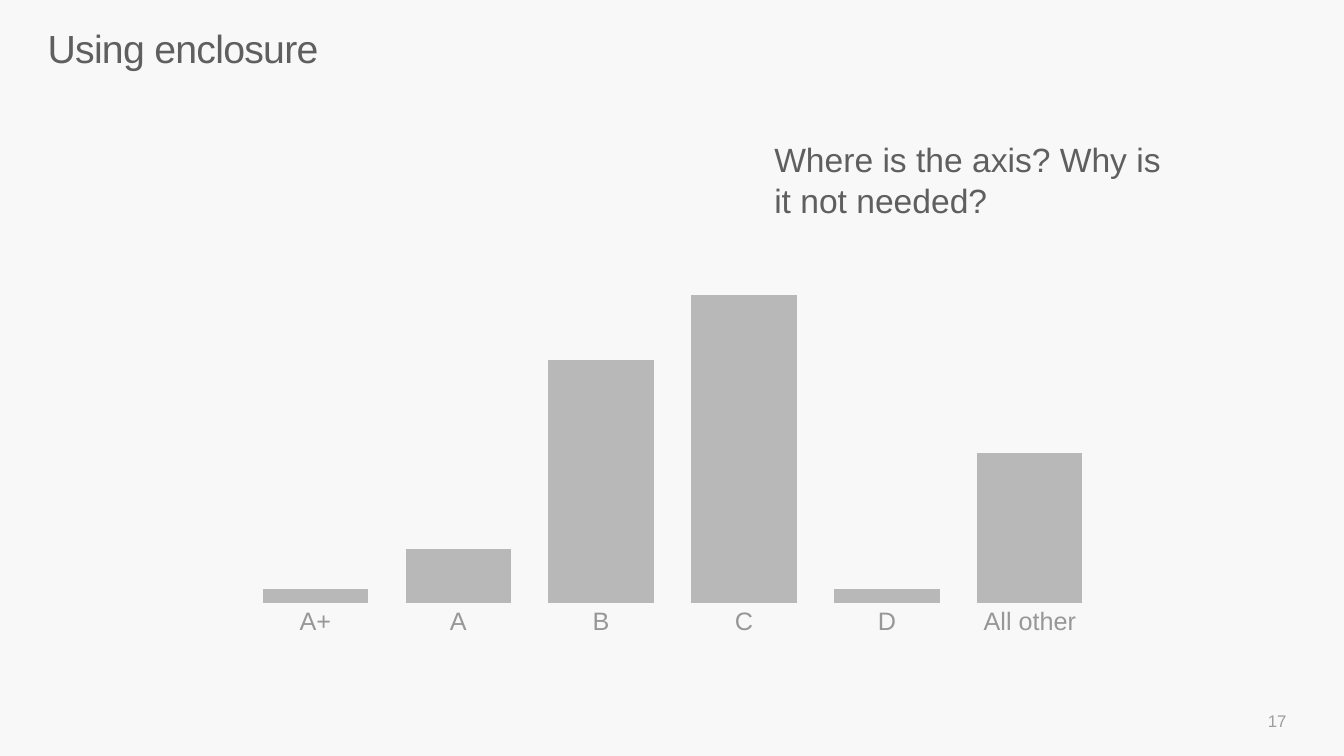
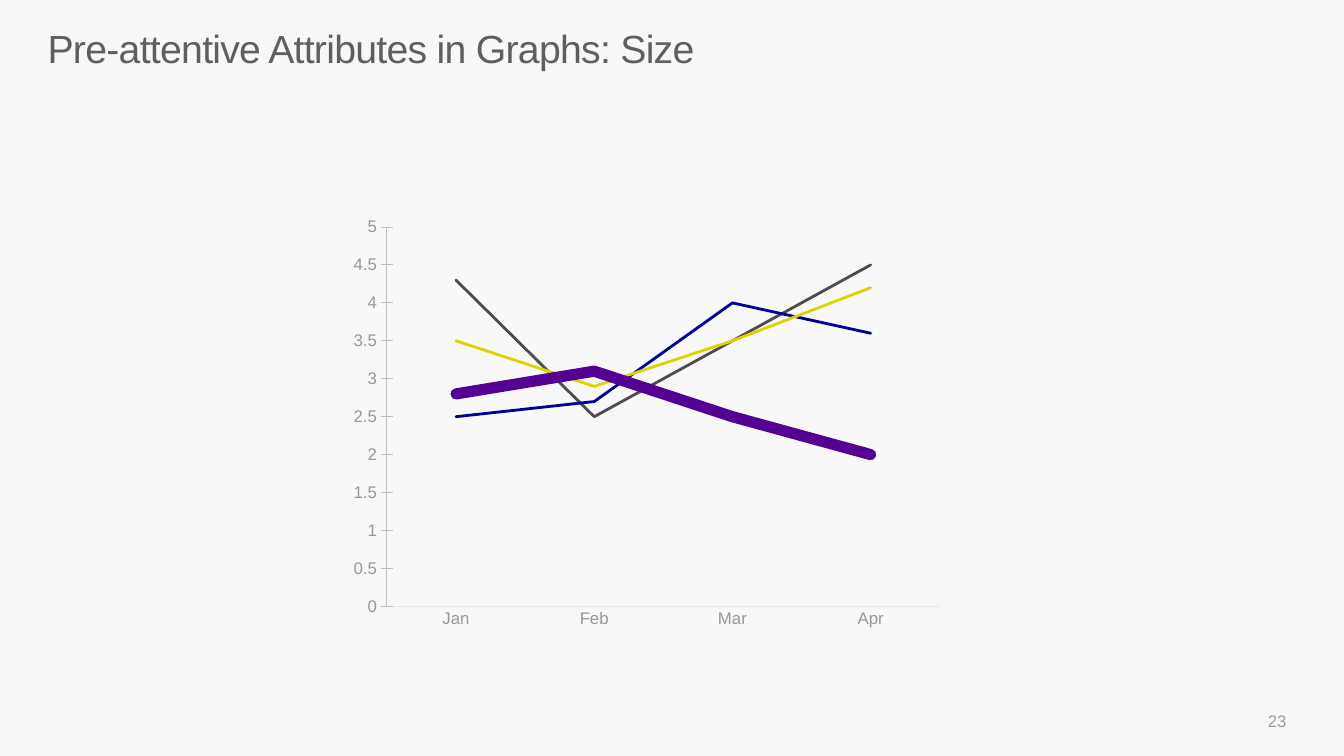
"""Build two chart slides on a shared light grey master."""
from lxml.etree import SubElement
from pptx import Presentation
from pptx.chart.data import CategoryChartData
from pptx.dml.color import RGBColor
from pptx.enum.chart import XL_CHART_TYPE, XL_TICK_MARK
from pptx.enum.text import MSO_ANCHOR, MSO_AUTO_SIZE, PP_ALIGN
from pptx.oxml.ns import qn
from pptx.util import Pt

FONT = "Arial"
BACKGROUND = "F8F8F8"
TEXT = "5F5F5F"
AXIS_TEXT = "979797"
PAGE_NUMBER = "9D9D9D"
BAR = "B8B8B8"


def color(value):
    return RGBColor.from_string(value)


def style_font(font, size, value):
    font.name = FONT
    font.size = Pt(size)
    font.color.rgb = color(value)


deck = Presentation()
deck.slide_width, deck.slide_height = Pt(960), Pt(540)
background = deck.slide_master.background.fill
background.solid()
background.fore_color.rgb = color(BACKGROUND)

pages = [
    {
        "title": "Using enclosure",
        "number": "17",
        "type": XL_CHART_TYPE.COLUMN_CLUSTERED,
        "place": (161.5, 198, 638, 262),
        "plot": {"x": 0.02, "y": 0.02, "w": 0.96, "h": 0.87},
        "categories": ["A+", "A", "B", "C", "D", "All other"],
        "series": [[5, 18, 79, 100, 5, 49]],
        "label_size": 18,
        "maximum": 103,
    },
    {
        "title": "Pre-attentive Attributes in Graphs: Size",
        "number": "23",
        "type": XL_CHART_TYPE.LINE,
        "place": (246, 150, 434, 304.5),
        "plot": {"x": 0.07, "y": 0.04, "w": 0.91, "h": 0.89},
        "categories": ["Jan", "Feb", "Mar", "Apr"],
        "series": [
            [4.3, 2.5, 3.5, 4.5],
            [2.5, 2.7, 4, 3.6],
            [3.5, 2.9, 3.5, 4.2],
            [2.8, 3.1, 2.5, 2],
        ],
        "label_size": 12,
        "maximum": 5,
    },
]

slides = []
charts = []
for page in pages:
    slide = deck.slides.add_slide(deck.slide_layouts[5])
    slides.append(slide)

    title = slide.shapes.title
    title.left, title.top, title.width, title.height = Pt(34), Pt(22), Pt(892), Pt(64)
    frame = title.text_frame
    frame.margin_left = frame.margin_right = frame.margin_top = frame.margin_bottom = 0
    frame.vertical_anchor = MSO_ANCHOR.TOP
    frame.auto_size = MSO_AUTO_SIZE.NONE
    frame.word_wrap = True
    para = frame.paragraphs[0]
    para.alignment = PP_ALIGN.LEFT
    para.line_spacing = 0.86
    span = para.add_run()
    span.text = page["title"]
    style_font(span.font, 28, TEXT)
    span.font._element.set("spc", "-50")

    number_box = slide.shapes.add_textbox(Pt(710), Pt(500), Pt(216), Pt(29))
    number_box.text_frame.word_wrap = True
    number_box.text_frame.vertical_anchor = MSO_ANCHOR.MIDDLE
    para = number_box.text_frame.paragraphs[0]
    para.alignment = PP_ALIGN.RIGHT
    span = para.add_run()
    span.text = page["number"]
    style_font(span.font, 12, PAGE_NUMBER)

    data = CategoryChartData()
    data.categories = page["categories"]
    for index, values in enumerate(page["series"], 1):
        data.add_series(f"Series {index}", values)
    place = [Pt(length) for length in page["place"]]
    chart = slide.shapes.add_chart(page["type"], *place, data).chart
    charts.append(chart)
    chart.has_legend = False
    chart.has_title = False
    style_font(chart.font, 10, TEXT)
    chart.plots[0].vary_by_categories = False
    for axis in (chart.category_axis, chart.value_axis):
        axis.has_major_gridlines = False
        axis.major_tick_mark = axis.minor_tick_mark = XL_TICK_MARK.NONE
        style_font(axis.tick_labels.font, page["label_size"], AXIS_TEXT)
    chart.value_axis.minimum_scale = 0
    chart.value_axis.maximum_scale = page["maximum"]

    plot_area = chart._chartSpace.chart.plotArea
    for layout in plot_area.findall(qn("c:layout")):
        plot_area.remove(layout)
    layout = SubElement(plot_area, qn("c:layout"))
    plot_area.insert(0, layout)
    manual = SubElement(layout, qn("c:manualLayout"))
    settings = {"layoutTarget": "inner", "xMode": "edge", "yMode": "edge", **page["plot"]}
    for name, value in settings.items():
        SubElement(manual, qn(f"c:{name}")).set("val", str(value))

column_chart, line_chart = charts

column_chart.value_axis.visible = False
column_chart.category_axis.format.line.fill.background()
column_chart.plots[0].gap_width = 33
bars = column_chart.plots[0].series[0].format
bars.fill.solid()
bars.fill.fore_color.rgb = color(BAR)
bars.line.color.rgb = color(BACKGROUND)
bars.line.width = Pt(1.5)

question_box = slides[0].shapes.add_textbox(Pt(546), Pt(96), Pt(294), Pt(65.5))
question_box.text_frame.word_wrap = True
span = question_box.text_frame.paragraphs[0].add_run()
span.text = "Where is the axis? Why is it not needed?"
style_font(span.font, 24, TEXT)

line_chart.value_axis.major_unit = 0.5
line_chart.value_axis.major_tick_mark = XL_TICK_MARK.CROSS
line_chart.value_axis.tick_labels.number_format = "General"
line_chart.value_axis.tick_labels.number_format_is_linked = False
for axis, value in ((line_chart.category_axis, "E7E7E7"), (line_chart.value_axis, "BFBFBF")):
    axis.format.line.color.rgb = color(value)
    axis.format.line.width = Pt(0.75)

line_styles = [("4D4D4D", 2), ("000099", 2), ("DBD400", 2), ("530093", 8)]
for series, (value, width) in zip(line_chart.plots[0].series, line_styles):
    series.smooth = False
    series.format.line.color.rgb = color(value)
    series.format.line.width = Pt(width)
    outline = series._element.xpath("c:spPr/a:ln")[0]
    outline.set("cap", "rnd")
    SubElement(outline, qn("a:round"))

deck.save("out.pptx")
